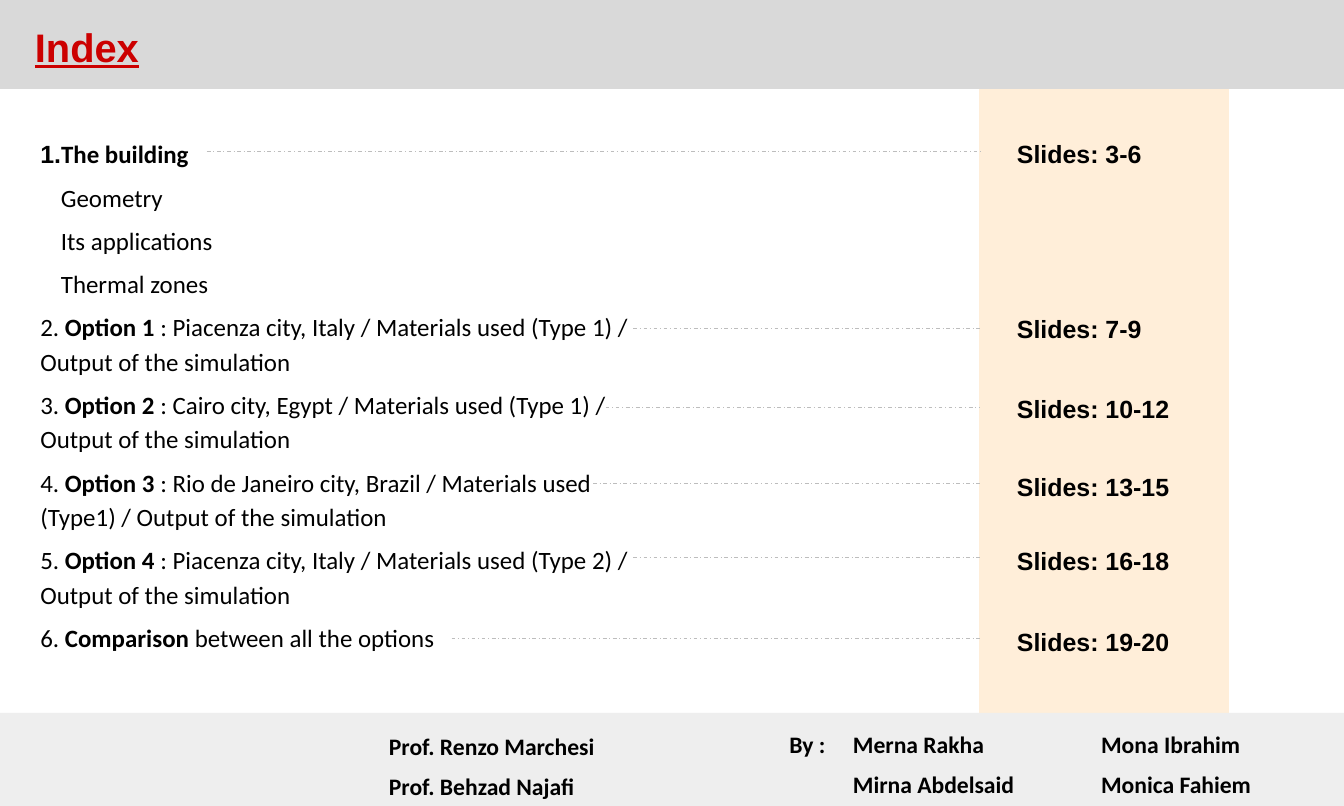
from lxml.etree import SubElement
from pptx import Presentation
from pptx.dml.color import RGBColor
from pptx.enum.dml import MSO_LINE
from pptx.enum.shapes import MSO_CONNECTOR, MSO_SHAPE
from pptx.enum.text import MSO_ANCHOR, PP_ALIGN
from pptx.oxml.ns import qn
from pptx.util import Inches, Pt

WIDE, HIGH = 15, 9
HEAD, FOOT = 0.98, 7.96  # lower edge of header, upper edge of footer
BAND = 10.94  # left edge of the page column
hue = RGBColor.from_string

deck = Presentation()
deck.slide_width, deck.slide_height = Inches(WIDE), Inches(HIGH)
slide = deck.slides.add_slide(deck.slide_layouts[5])
shapes = slide.shapes


def set_up(frame, pad):
    frame.word_wrap = True
    frame.vertical_anchor = MSO_ANCHOR.TOP
    frame.margin_left = frame.margin_right = Inches(0.15)
    frame.margin_top = frame.margin_bottom = Inches(pad)
    return frame


def write(frame, rows, size, gap=0.0, pitch=1.15):
    """Each row is (left margin, first-line indent, runs); a run is (text, font, bold)."""
    for i, (left, first, runs) in enumerate(rows):
        para = frame.add_paragraph() if i else frame.paragraphs[0]
        para.alignment = PP_ALIGN.LEFT
        para.line_spacing = pitch
        para.space_before = Pt(gap if i else 0)
        props = para._p.get_or_add_pPr()
        props.set("marL", str(Inches(left)))
        props.set("indent", str(Inches(first)))
        for text, face, bold in runs:
            run = para.add_run()
            run.text = text
            run.font.name, run.font.size, run.font.bold = face, Pt(size), bold
            run.font.color.rgb = hue("000000")


# Page column, header and footer
for x, y, w, h, tint, edge in [
    (BAND, HEAD, 2.76, FOOT - HEAD, "FFEED9", 2),
    (0, 0, WIDE, HEAD, "D9D9D9", 2),
    (0, FOOT, WIDE, HIGH - FOOT, "EEEEEE", 0),
]:
    bar = shapes.add_shape(MSO_SHAPE.RECTANGLE, Inches(x), Inches(y), Inches(w), Inches(h))
    bar.shadow.inherit = False
    bar.fill.solid()
    bar.fill.fore_color.rgb = hue(tint)
    if edge:
        bar.line.color.rgb = hue(tint)
        bar.line.width = Pt(edge)
    else:
        bar.line.fill.background()

# Title, raised above the header
title = shapes.title
title.left, title.top = Inches(0.24), Inches(0.1)
title.width, title.height = Inches(13.98), Inches(1)
write(set_up(title.text_frame, 0.15), [(0, 0, [("Index", "Arial", True)])], 32, pitch=1.0)
font = title.text_frame.paragraphs[0].runs[0].font
font.underline = True
font.color.rgb = hue("CC0000")
shapes._spTree.append(title._element)

# Topics
topics = [(0, 0, [("1.", "Arial", True), ("The building", "Calibri", True)])]
for part in ["Geometry", "Its applications", "Thermal zones"]:
    topics.append((0.23, 0, [(part, "Calibri", False)]))
for num, (key, rest) in enumerate([
    ("Option 1 ", ": Piacenza city, Italy / Materials used (Type 1) / Output of the simulation"),
    ("Option 2 ", ": Cairo city, Egypt / Materials used (Type 1) / Output of the simulation"),
    ("Option 3", " : Rio de Janeiro city, Brazil / Materials used (Type1) / Output of the simulation"),
    ("Option 4 ", ": Piacenza city, Italy / Materials used (Type 2) / Output of the simulation"),
    ("Comparison", " between all the options"),
], 2):
    topics.append((0, 0, [(f"{num}. ", "Calibri", False), (key, "Calibri", True),
                          (rest, "Calibri", False)]))
box = shapes.add_textbox(Inches(0.3), Inches(1.35), Inches(7), Inches(6.45))
write(set_up(box.text_frame, 0.15), topics, 20, 7.2)

# Page numbers, each with its leader line: label, box top, line start, line height
for pages, top, start, level in [
    ("3-6", 1.35, 2.31, 1.69),
    ("7-9", 3.3, 7.07, 3.67),
    ("10-12", 4.19, 6.76, 4.55),
    ("13-15", 5.07, 6.62, 5.4),
    ("16-18", 5.89, 7.07, 6.22),
    ("19-20", 6.8, 5.04, 7.13),
]:
    box = shapes.add_textbox(Inches(11.2), Inches(top), Inches(3.13), Inches(0.7))
    write(set_up(box.text_frame, 0.15), [(0, 0, [(f"Slides: {pages}", "Arial", True)])], 20)
    lead = shapes.add_connector(MSO_CONNECTOR.STRAIGHT, Inches(start), Inches(level),
                                Inches(BAND), Inches(level))
    lead.line.color.rgb = hue("BDBDBD")
    lead.line.width = Pt(0.75)
    lead.line.dash_style = MSO_LINE.DASH_DOT
    SubElement(lead._element.spPr, qn("a:effectLst"))

# Names in the footer; the authors hang behind "By :"
hang = 0.71
for x, y, w, rows in [
    (4.19, 8.05, 3.72, [(0, 0, "Prof. Renzo Marchesi"), (0, 0, "Prof. Behzad Najafi")]),
    (8.66, 8.02, 3.4, [(hang, -hang, "By :\tMerna Rakha"), (hang, 0, "Mirna Abdelsaid")]),
    (12.14, 8.02, 2.66, [(0, 0, "Mona Ibrahim"), (0, 0, "Monica Fahiem")]),
]:
    box = shapes.add_textbox(Inches(x), Inches(y), Inches(w), Inches(0.9))
    lines = [(left, first, [(text, "Calibri", True)]) for left, first, text in rows]
    write(set_up(box.text_frame, 0.08), lines, 19, 6)

deck.save("out.pptx")
